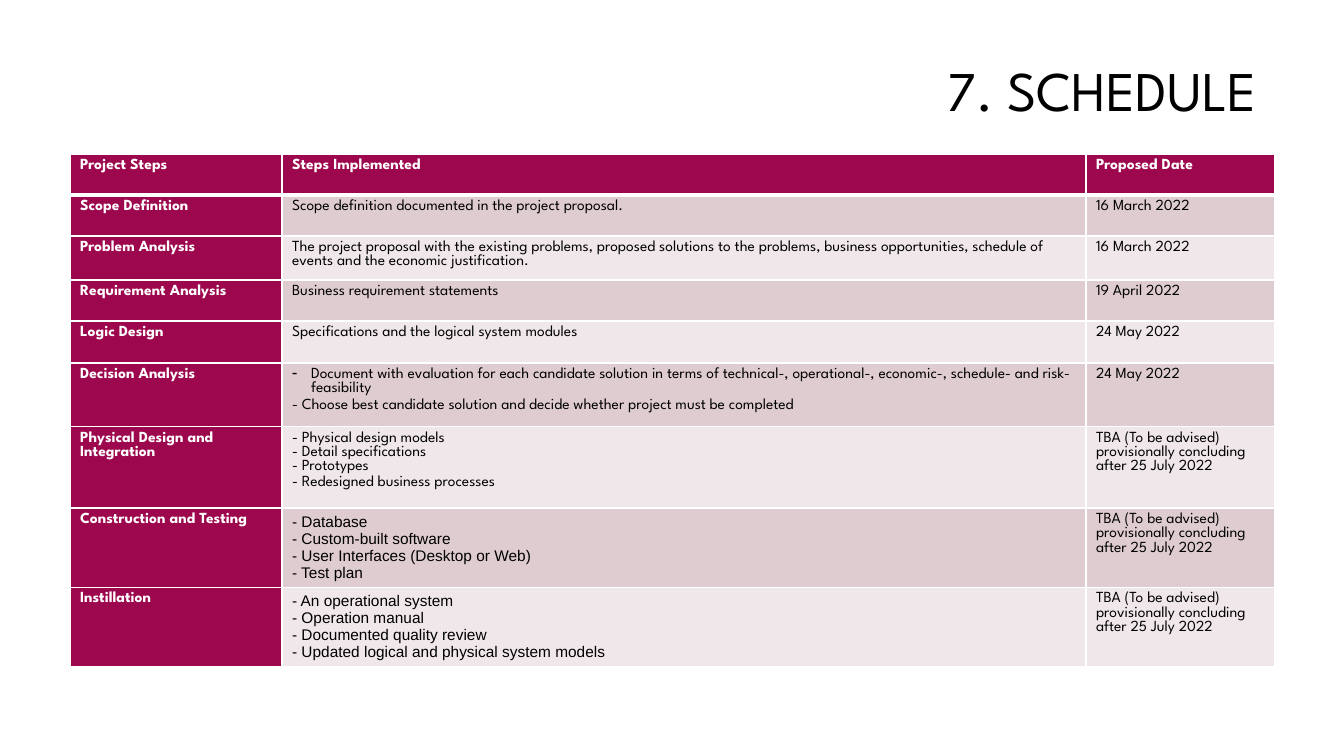
from lxml.etree import SubElement
from pptx import Presentation
from pptx.dml.color import RGBColor
from pptx.enum.text import MSO_ANCHOR, PP_ALIGN
from pptx.oxml.ns import qn
from pptx.util import Emu, Pt

# Content: step, implemented items, date
TITLE = "7. SCHEDULE"
HEADINGS = ("Project Steps", ["Steps Implemented"], "Proposed Date")
TO_BE_ADVISED = "TBA (To be advised) provisionally concluding after 25 July 2022"
STEPS = [
    ("Scope Definition", ["Scope definition documented in the project proposal."], "16 March 2022"),
    ("Problem Analysis",
     ["The project proposal with the existing problems, proposed solutions to the problems, "
      "business opportunities, schedule of events and the economic justification."],
     "16 March 2022"),
    ("Requirement Analysis", ["Business requirement statements"], "19 April 2022"),
    ("Logic Design", ["Specifications and the logical system modules"], "24 May 2022"),
    ("Decision Analysis",
     ["Document with evaluation for each candidate solution in terms of technical-, "
      "operational-, economic-, schedule- and risk- feasibility",
      "- Choose best candidate solution and decide whether project must be completed"],
     "24 May 2022"),
    ("Physical Design and Integration",
     ["- Physical design models", "- Detail specifications", "- Prototypes",
      "- Redesigned business processes"],
     TO_BE_ADVISED),
    ("Construction and Testing",
     ["- Database", "- Custom-built software", "- User Interfaces (Desktop or Web)",
      "- Test plan"],
     TO_BE_ADVISED),
    ("Instillation",
     ["- An operational system", "- Operation manual", "- Documented quality review",
      "- Updated logical and physical system models"],
     TO_BE_ADVISED),
]
BULLETED_STEP = "Decision Analysis"
LOOSE_STEPS = ("Decision Analysis", "Physical Design and Integration")
ARIAL_STEPS = ("Construction and Testing", "Instillation")

# Layout in px
SLIDE_SIZE = (1344, 756)
TITLE_BOX = (318, 22, 949, 142)
TABLE_CORNER = (70, 154)
COLUMN_WIDTHS = (212, 804, 189)
ROW_HEIGHTS = (41, 41, 44, 41, 42, 62, 79, 78, 78)
BULLET_INDENT = 19

# Style
FONT = "League Spartan"
BLACK = RGBColor(0x00, 0x00, 0x00)
WHITE = RGBColor(0xFF, 0xFF, 0xFF)
CRIMSON = RGBColor(0x9D, 0x07, 0x4E)
BANDS = (RGBColor(0xEF, 0xE7, 0xE9), RGBColor(0xDF, 0xCC, 0xD0))


def px(length):
    return Emu(round(length * 914400 / 100.8))


def style_font(paragraph, name, size, color, bold=False):
    font = paragraph.font
    font.name, font.size, font.bold = name, Pt(size), bold
    font.color.rgb = color


def add_bullet(paragraph):
    properties = paragraph._p.get_or_add_pPr()
    properties.set("marL", str(px(BULLET_INDENT)))
    properties.set("indent", str(-px(BULLET_INDENT)))
    SubElement(properties, qn("a:buChar")).set("char", "-")


def add_borders(cell, bottom_width):
    properties = cell._tc.get_or_add_tcPr()
    for side, width in (("L", 1), ("R", 1), ("T", 1), ("B", bottom_width)):
        line = SubElement(properties, qn(f"a:ln{side}"), w=str(Pt(width)))
        fill = SubElement(line, qn("a:solidFill"))
        SubElement(fill, qn("a:srgbClr"), val=str(WHITE))


def fill_cell(cell, row, column, step, lines):
    is_heading = row == 0 or column == 0
    add_borders(cell, 3 if row == 0 else 1)
    cell.fill.solid()
    cell.fill.fore_color.rgb = CRIMSON if is_heading else BANDS[row % 2]
    cell.margin_bottom = 0
    cell.text = "\n".join(lines)
    paragraphs = cell.text_frame.paragraphs
    if column == 1 and step == BULLETED_STEP:
        add_bullet(paragraphs[0])
    if column == 1 and step in LOOSE_STEPS:
        paragraphs[-1].line_spacing = 1.15
    name = "Arial" if column == 1 and step in ARIAL_STEPS else FONT
    for paragraph in paragraphs:
        style_font(paragraph, name, 11, WHITE if is_heading else BLACK, is_heading)


presentation = Presentation()
presentation.slide_width, presentation.slide_height = map(px, SLIDE_SIZE)
slide = presentation.slides.add_slide(presentation.slide_layouts[6])

# Title
title = slide.shapes.add_textbox(*map(px, TITLE_BOX)).text_frame
title.word_wrap = True
title.vertical_anchor = MSO_ANCHOR.MIDDLE
title.text = TITLE
heading = title.paragraphs[0]
heading.alignment = PP_ALIGN.RIGHT
heading.line_spacing = 0.9
style_font(heading, FONT, 40, BLACK)

# Schedule table
table = slide.shapes.add_table(
    len(ROW_HEIGHTS), len(COLUMN_WIDTHS), *map(px, TABLE_CORNER),
    px(sum(COLUMN_WIDTHS)), px(sum(ROW_HEIGHTS))).table
for column, width in zip(table.columns, COLUMN_WIDTHS):
    column.width = px(width)
for row, height in zip(table.rows, ROW_HEIGHTS):
    row.height = px(height)
for row, (step, items, date) in enumerate([HEADINGS] + STEPS):
    for column, lines in enumerate(([step], items, [date])):
        fill_cell(table.cell(row, column), row, column, step, lines)

presentation.save("out.pptx")
